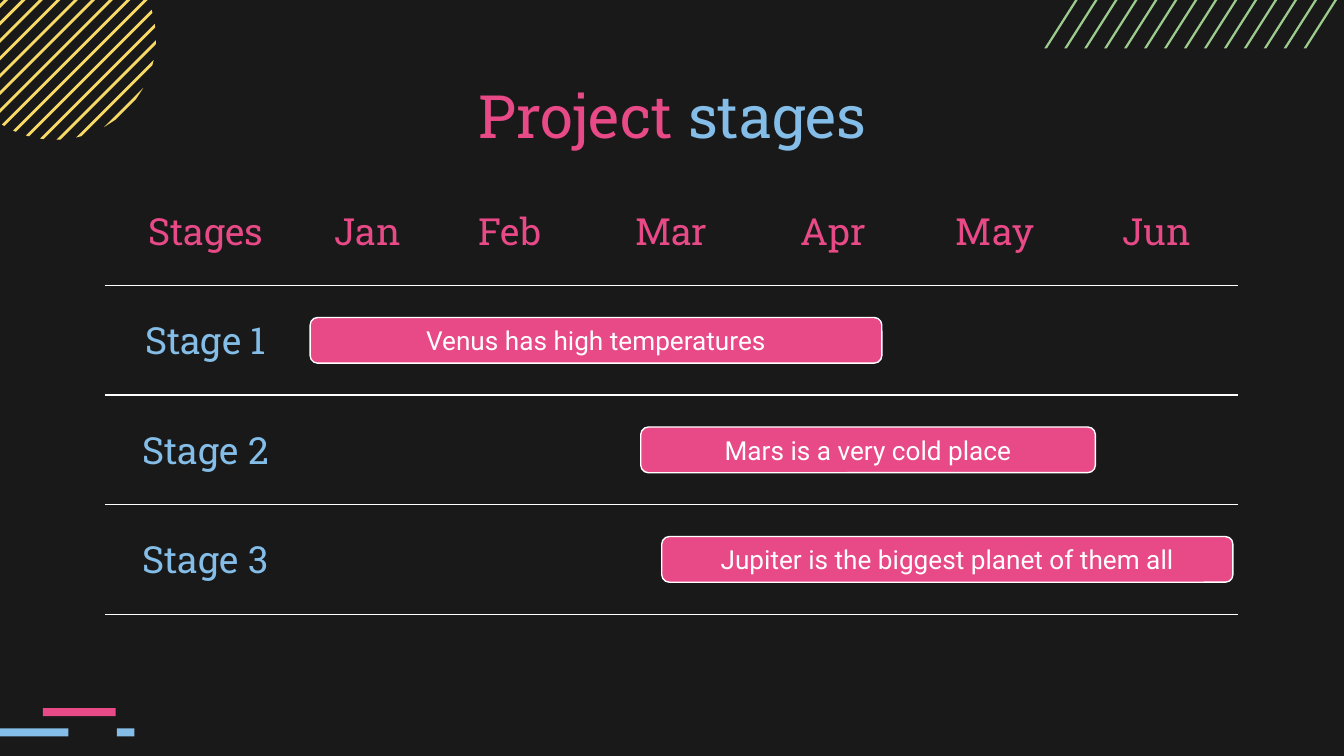
import math

import lxml.etree
import pptx
import pptx.dml.color
import pptx.enum.shapes
import pptx.enum.text
import pptx.oxml.ns
import pptx.util

SLIDE_W = 10
SLIDE_H = SLIDE_W * 9 / 16
DARK, PINK, BLUE, GREEN, YELLOW, WHITE = (
    "191919", "E84987", "84BDE7", "9CCC8D", "F7DA66", "FFFFFF")
HEADING_FONT, BODY_FONT = "Roboto Slab", "Roboto"
NO_STYLE = "{2D5ABB26-0587-4C30-8999-92F81FD0307C}"

TITLE = [("Project ", PINK), ("stages", BLUE)]
HEADERS = ["Stages", "Jan", "Feb", "Mar", "Apr", "May", "Jun"]
# Stage, activity, start and end in months counted from the start of January
STAGES = [
    ("Stage 1", "Venus has high temperatures", 0.03, 3.8),
    ("Stage 2", "Mars is a very cold place", 2.31, 5.12),
    ("Stage 3", "Jupiter is the biggest planet of them all", 2.44, 5.97),
]

TABLE_LEFT, TABLE_TOP, TABLE_W, TABLE_H = 0.78, 1.31, 8.43, 3.26
STAGE_W, JAN_W = 1.5, 0.91
MONTH_W = (TABLE_W - STAGE_W - JAN_W) / 5
COLUMN_WIDTHS = [STAGE_W, JAN_W] + [MONTH_W] * 5
ROW_H = TABLE_H / (len(STAGES) + 1)
BAR_H = 0.34

# Left, top, width, colour
DASHES = [(-0.03, 5.42, 0.54, BLUE), (0.32, 5.27, 0.54, PINK), (0.87, 5.42, 0.13, BLUE)]
DASH_H = 0.06

SLASH_COUNT, FIRST_SLASH, LAST_SLASH = 14, 7.77, 9.7
DISC_X, DISC_Y, DISC_R = 0.41, 0.29, 0.75
STRIPE_COUNT, STRIPE_PITCH, STRIPE_W = 14, 0.13, 0.03


def inches(*lengths):
    return [pptx.util.Inches(length) for length in lengths]


def rgb(hex_colour):
    return pptx.dml.color.RGBColor.from_string(hex_colour)


def paint(shape, colour):
    shape.shadow.inherit = False
    shape.fill.solid()
    shape.fill.fore_color.rgb = rgb(colour)
    shape.line.fill.background()


def add_polygon(slide, points, colour):
    corners = [inches(x, y) for x, y in points]
    builder = slide.shapes.build_freeform(*corners[0])
    builder.add_line_segments(corners[1:], close=True)
    paint(builder.convert_to_shape(), colour)


def write(frame, runs, size, font):
    """Write one centred paragraph of (text, colour) runs."""
    frame.word_wrap = True
    paragraph = frame.paragraphs[0]
    paragraph.alignment = pptx.enum.text.PP_ALIGN.CENTER
    for text, colour in runs:
        run = paragraph.add_run()
        run.text = text
        run.font.size = pptx.util.Pt(size)
        run.font.name = font
        run.font.bold = False
        run.font.color.rgb = rgb(colour)


def add_slashes(slide):
    pitch = (LAST_SLASH - FIRST_SLASH) / (SLASH_COUNT - 1)
    for i in range(SLASH_COUNT):
        foot = FIRST_SLASH + i * pitch
        add_polygon(slide, [(foot + 0.3, -0.08), (foot + 0.28, -0.08),
                            (foot, 0.36), (foot + 0.02, 0.36)], GREEN)


def disc_chord(total):
    """Return the ends of the disc's chord along x + y = total."""
    shift = (total - DISC_X - DISC_Y) / 2
    half = math.sqrt(max(0, DISC_R ** 2 / 2 - shift ** 2))
    x, y = DISC_X + shift, DISC_Y + shift
    return [(x + half, y - half), (x - half, y + half)]


def add_striped_disc(slide):
    for i in range(STRIPE_COUNT):
        total = 0.03 + i * STRIPE_PITCH
        points = disc_chord(total) + disc_chord(total + STRIPE_W)[::-1]
        add_polygon(slide, points, YELLOW)


def add_dashes(slide):
    for left, top, width, colour in DASHES:
        dash = slide.shapes.add_shape(pptx.enum.shapes.MSO_SHAPE.RECTANGLE,
                                      *inches(left, top, width, DASH_H))
        paint(dash, colour)


def add_title(slide):
    title = slide.shapes.title
    title.left, title.top, title.width, title.height = inches(0.79, 0.59, 8.43, 0.52)
    title.text_frame.vertical_anchor = pptx.enum.text.MSO_ANCHOR.MIDDLE
    write(title.text_frame, TITLE, 32, HEADING_FONT)


def underline_cell(cell):
    qn = pptx.oxml.ns.qn
    border = lxml.etree.Element(qn("a:lnB"), w=str(pptx.util.Pt(0.75)))
    fill = lxml.etree.SubElement(border, qn("a:solidFill"))
    lxml.etree.SubElement(fill, qn("a:srgbClr"), val=WHITE)
    cell._tc.get_or_add_tcPr().insert(0, border)


def add_schedule(slide):
    frame = slide.shapes.add_table(
        len(STAGES) + 1, len(HEADERS),
        *inches(TABLE_LEFT, TABLE_TOP, TABLE_W, TABLE_H))
    table = frame.table
    table.first_row = table.horz_banding = False
    table._tbl.tblPr.find(pptx.oxml.ns.qn("a:tableStyleId")).text = NO_STYLE
    for column, width in zip(table.columns, COLUMN_WIDTHS):
        column.width = pptx.util.Inches(width)
    for row in table.rows:
        row.height = pptx.util.Inches(ROW_H)
    for cell in table.iter_cells():
        cell.fill.background()
        cell.vertical_anchor = pptx.enum.text.MSO_ANCHOR.MIDDLE
        underline_cell(cell)
    for i, header in enumerate(HEADERS):
        write(table.cell(0, i).text_frame, [(header, PINK)], 20, HEADING_FONT)
    for i, stage in enumerate(STAGES, 1):
        write(table.cell(i, 0).text_frame, [(stage[0], BLUE)], 20, HEADING_FONT)


def month_x(month):
    """Return the horizontal place of a month count within the table."""
    column = int(month) + 1
    return (TABLE_LEFT + sum(COLUMN_WIDTHS[:column])
            + (month % 1) * COLUMN_WIDTHS[column])


def add_bars(slide):
    for i, (_, activity, start, end) in enumerate(STAGES, 1):
        left = month_x(start)
        top = TABLE_TOP + (i + 0.5) * ROW_H - BAR_H / 2
        bar = slide.shapes.add_shape(
            pptx.enum.shapes.MSO_SHAPE.ROUNDED_RECTANGLE,
            *inches(left, top, month_x(end) - left, BAR_H))
        paint(bar, PINK)
        bar.line.color.rgb = rgb(WHITE)
        bar.line.width = pptx.util.Pt(0.75)
        bar.text_frame.vertical_anchor = pptx.enum.text.MSO_ANCHOR.MIDDLE
        write(bar.text_frame, [(activity, WHITE)], 14, BODY_FONT)


def main():
    deck = pptx.Presentation()
    deck.slide_width, deck.slide_height = inches(SLIDE_W, SLIDE_H)
    slide = deck.slides.add_slide(deck.slide_layouts.get_by_name("Title Only"))
    slide.background.fill.solid()
    slide.background.fill.fore_color.rgb = rgb(DARK)
    add_slashes(slide)
    add_striped_disc(slide)
    add_dashes(slide)
    add_title(slide)
    add_schedule(slide)
    add_bars(slide)
    deck.save("out.pptx")


if __name__ == "__main__":
    main()
